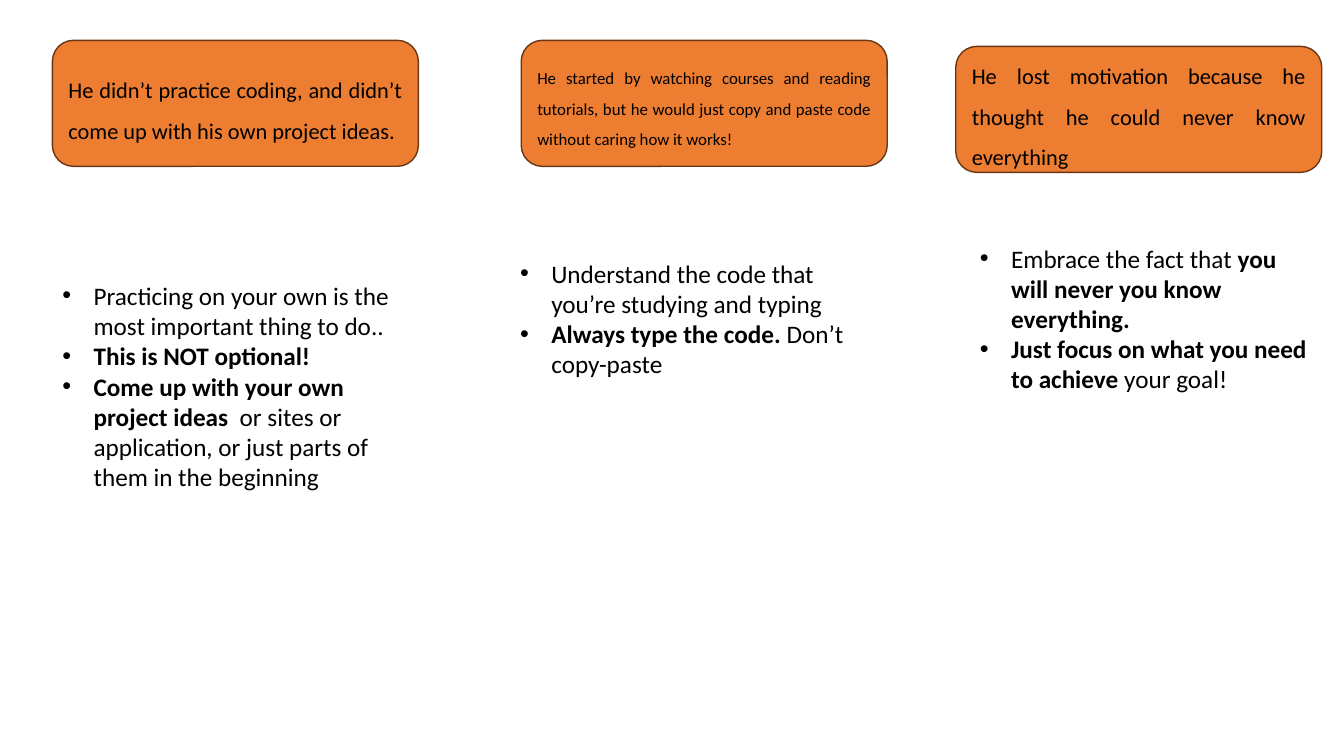
import pptx
import pptx.util
import pptx.dml.color
import pptx.enum.shapes
import pptx.enum.text
from lxml import etree

PX = 9144  # EMU per px, 100 px to the inch
FONT = "Calibri"
CARD_W, CARD_H = 363, 125
LIST_W = 349
INDENT = 31

# card: left, top, size, text; list: left, top, height, items of (text, bold) runs
COLUMNS = [
    ((52, 40, 16, "He didn’t practice coding, and didn’t come up with his own "
                  "project ideas."),
     (52, 273, 222, [
         [("Practicing on your own is the most important thing to do..", False)],
         [("This is NOT optional!", True)],
         [("Come up with your own project ideas ", True),
          (" or sites or application, or just parts of them in the beginning", False)],
     ])),
    ((517, 40, 12, "He started by watching courses and reading tutorials, but he "
                   "would just copy and paste code without caring how it works!"),
     (506, 251, 131, [
         [("Understand the code that you’re studying and typing", False)],
         [("Always type the code. ", True), ("Don’t copy-paste", False)],
     ])),
    ((948, 46, 16, "He lost motivation because he thought he could never know "
                   "everything"),
     (962, 236, 162, [
         [("Embrace the fact that ", False),
          ("you will never you know everything.", True)],
         [("Just focus on what you need to achieve ", True), ("your goal!", False)],
     ])),
]


def px(*lengths):
    return [pptx.util.Emu(n * PX) for n in lengths]


def rgb(code):
    return pptx.dml.color.RGBColor.from_string(code)


def style(para, size):
    para.font.name = FONT
    para.font.size = pptx.util.Pt(size)
    para.font.color.rgb = rgb("000000")


def bullet(para):
    """Give the paragraph a hanging bullet."""
    props = para._p.get_or_add_pPr()
    props.set("marL", str(INDENT * PX))
    props.set("indent", str(-INDENT * PX))
    tag = pptx.oxml.ns.qn
    mark = etree.Element(tag("a:buFont"), typeface="Arial")
    props.insert(0, mark)
    mark.addnext(etree.Element(tag("a:buChar"), char="•"))


def card(slide, left, top, size, text):
    kind = pptx.enum.shapes.MSO_SHAPE.ROUNDED_RECTANGLE
    box = slide.shapes.add_shape(kind, *px(left, top, CARD_W, CARD_H))
    box.shadow.inherit = False
    box.fill.solid()
    box.fill.fore_color.rgb = rgb("ED7D31")
    box.line.color.rgb = rgb("683715")
    box.line.width = pptx.util.Pt(1)
    frame = box.text_frame
    frame.word_wrap = True
    frame.vertical_anchor = pptx.enum.text.MSO_ANCHOR.MIDDLE
    para = frame.paragraphs[0]
    para.text = text
    para.alignment = pptx.enum.text.PP_ALIGN.JUSTIFY
    para.line_spacing = 1.5
    style(para, size)


def advice(slide, left, top, height, items):
    box = slide.shapes.add_textbox(*px(left, top, LIST_W, height))
    frame = box.text_frame
    frame.word_wrap = True
    frame.auto_size = pptx.enum.text.MSO_AUTO_SIZE.SHAPE_TO_FIT_TEXT
    for i, item in enumerate(items):
        para = frame.add_paragraph() if i else frame.paragraphs[0]
        style(para, 18)
        bullet(para)
        for text, bold in item:
            run = para.add_run()
            run.text = text
            run.font.bold = bold


def main():
    deck = pptx.Presentation()
    deck.slide_width, deck.slide_height = px(1333, 750)
    slide = deck.slides.add_slide(deck.slide_layouts[6])
    for head, points in COLUMNS:
        card(slide, *head)
        advice(slide, *points)
    deck.save("out.pptx")


if __name__ == "__main__":
    main()
